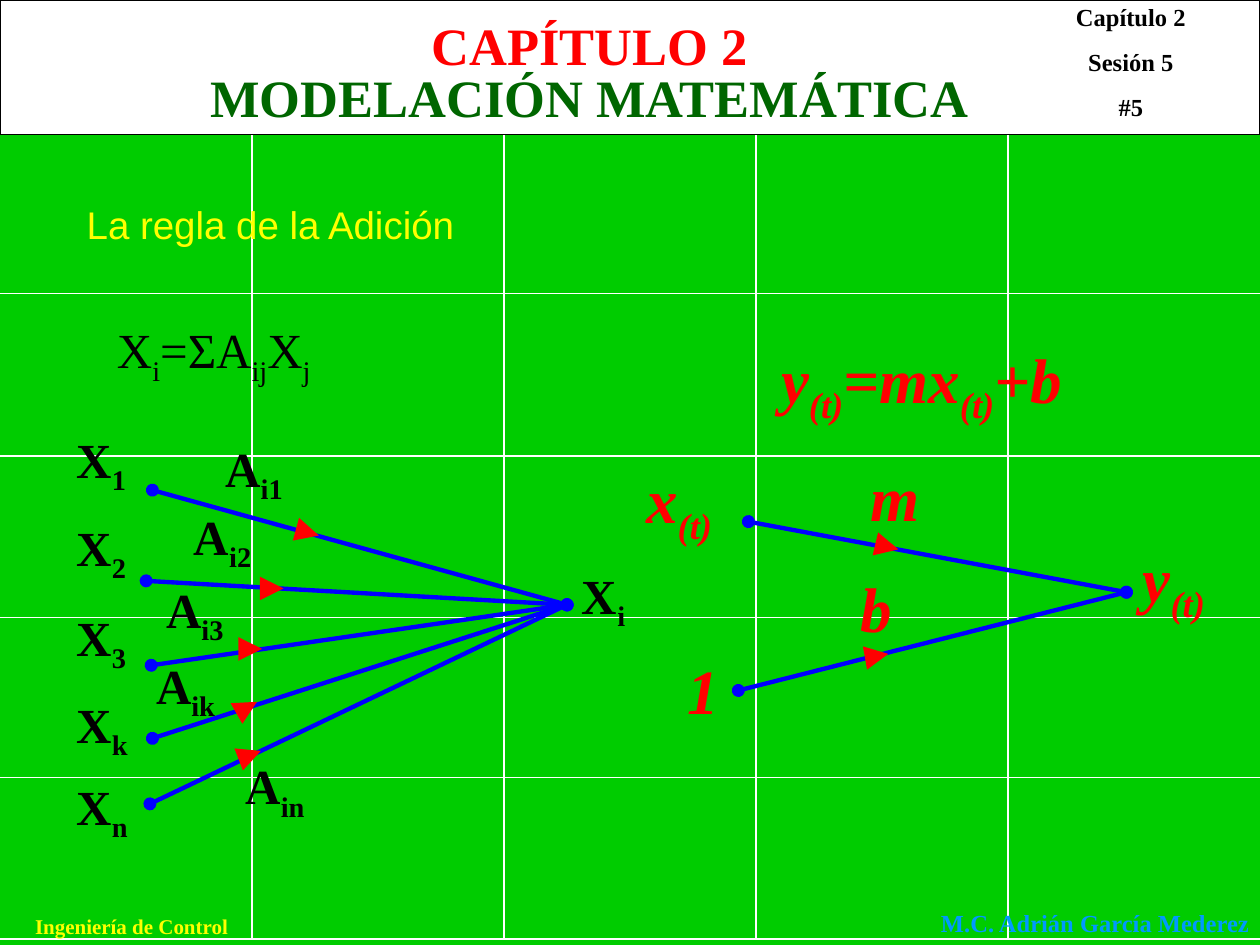
from lxml import etree
from pptx import Presentation, util as u
from pptx.dml.color import RGBColor
from pptx.enum import shapes, text
from pptx.oxml.ns import qn

C = {"green": "00CC00", "white": "FFFFFF", "black": "000000", "red": "FF0000", "blue": "0000FF",
     "yellow": "FFFF00", "dark": "006600", "sky": "0099FF"}

prs = Presentation()
prs.slide_width, prs.slide_height = u.Inches(10), u.Inches(7.5)
s = prs.slides.add_slide(prs.slide_layouts[5])
s.background.fill.solid()
s.background.fill.fore_color.rgb = RGBColor.from_string(C["green"])


def add_text(content, x, y, w, h, size=28, color="black", bold=True, italic=False, font="Times New Roman",
             align="LEFT", before=0, wrap=True, sp=None):
    box = [u.Inches(v) for v in (x, y, w, h)]
    sp = sp or s.shapes.add_textbox(*box)
    sp.left, sp.top, sp.width, sp.height = box
    tf = sp.text_frame
    tf.word_wrap = wrap
    tf.auto_size = text.MSO_AUTO_SIZE.NONE
    tf.vertical_anchor = text.MSO_ANCHOR.TOP
    for i, line in enumerate(content.split("\n")):
        p = tf.add_paragraph() if i else tf.paragraphs[0]
        p.alignment = getattr(text.PP_ALIGN, align)
        p.space_before = u.Pt(before if i else 0)
        for j, part in enumerate(line.split("|")):
            r = p.add_run()
            r.text = part
            r.font.size, r.font.bold, r.font.italic, r.font.name = u.Pt(size), bold, italic, font
            r.font.color.rgb = RGBColor.from_string(C[color])
            if j % 2:
                r.font._element.set("baseline", "-25000")


def add_line(start, end, color, width, head=None, tail=None):
    c = s.shapes.add_connector(shapes.MSO_CONNECTOR.STRAIGHT, *[u.Inches(v) for v in (*start, *end)])
    c.line.color.rgb = RGBColor.from_string(C[color])
    c.line.width = u.Pt(width)
    ln = c.line._get_or_add_ln()
    for tag, kind in (("a:headEnd", head), ("a:tailEnd", tail)):
        if kind:
            etree.SubElement(ln, qn(tag)).set("type", kind)
    etree.SubElement(c._element.spPr, qn("a:effectLst"))


for x in (2, 4, 6, 8):
    add_line((x, 1.05), (x, 7.45), "white", 1)
for y in (1.05, 2.33, 3.62, 4.9, 6.17, 7.45):
    add_line((0, y), (10, y), "white", 1)

header = s.shapes.add_shape(shapes.MSO_SHAPE.RECTANGLE, 0, 0, u.Inches(10), u.Inches(1.07))
header.shadow.inherit = False
header.fill.solid()
header.fill.fore_color.rgb = RGBColor.from_string(C["white"])
header.line.color.rgb = RGBColor.from_string(C["black"])
header.line.width = u.Pt(0.75)

title = s.shapes.title
s.shapes._spTree.append(title._element)
add_text("CAPÍTULO 2", 0.9, 0.05, 7.56, 0.6, size=30, color="red", align="CENTER", sp=title)
add_text("MODELACIÓN MATEMÁTICA", 0.9, 0.47, 7.56, 0.6, size=30, color="dark", align="CENTER")
add_text("Capítulo 2\nSesión 5\n#5", 8.15, -0.03, 1.65, 1.05, size=14, align="CENTER", before=8.8)
add_text("Ingeniería de Control", 0, 7.2, 2.09, 0.3, size=12, color="yellow", align="CENTER")
add_text("M.C. Adrián García Mederez", 7.37, 7.16, 2.66, 0.34, size=14, color="sky", wrap=False)

add_text("La regla de la Adición", 0.59, 1.55, 4.17, 0.47, size=22, color="yellow", bold=False, font="Arial")
add_text("X|i|=ΣA|ij|X|j", 0.83, 2.49, 2.52, 0.63, bold=False)

branches = [
    ((1.21, 3.89), (4.5, 4.8), (2.42, 4.22), (2.53, 4.25)),
    ((1.16, 4.61), (4.5, 4.8), (2.16, 4.67), (2.25, 4.67)),
    ((1.2, 5.28), (4.5, 4.8), (1.99, 5.15), (2.08, 5.15)),
    ((1.21, 5.86), (4.5, 4.8), (1.97, 5.61), (2.04, 5.57)),
    ((1.19, 6.38), (4.5, 4.8), (1.94, 6.01), (2.07, 5.96)),
    ((5.94, 4.14), (8.94, 4.7), (6.96, 4.32), (7.13, 4.36)),
    ((5.86, 5.48), (8.94, 4.7), (6.88, 5.22), (7.05, 5.19)),
]
for node, hub, arrow_start, arrow_end in branches:
    add_line(node, hub, "blue", 2.5, head="oval", tail="oval")
    add_line(arrow_start, arrow_end, "red", 4.5, tail="triangle")

gains = [("1", 3.36, 1.69, 3.43), ("2", 4.06, 1.44, 3.97), ("3", 4.77, 1.22, 4.55),
         ("k", 5.46, 1.14, 5.15), ("n", 6.11, 1.85, 5.95)]
for index, node_y, gain_x, gain_y in gains:
    add_text(f"X|{index}", 0.51, node_y, 0.79, 0.63)
    add_text(f"A|i{index}", gain_x, gain_y, 0.79, 0.63)
add_text("X|i", 4.52, 4.44, 0.79, 0.63)

for label, x, y, w in [("m", 6.81, 3.59, 0.71), ("x|(t)", 5.03, 3.61, 0.94), ("y|(t)", 8.97, 4.23, 1.03),
                       ("1", 5.36, 5.12, 0.71), ("b", 6.73, 4.47, 0.71), ("y|(t)|=mx|(t)|+b", 6.1, 2.65, 3.31)]:
    add_text(label, x, y, w, 0.7, size=36, color="red", italic=True)

prs.save("out.pptx")
